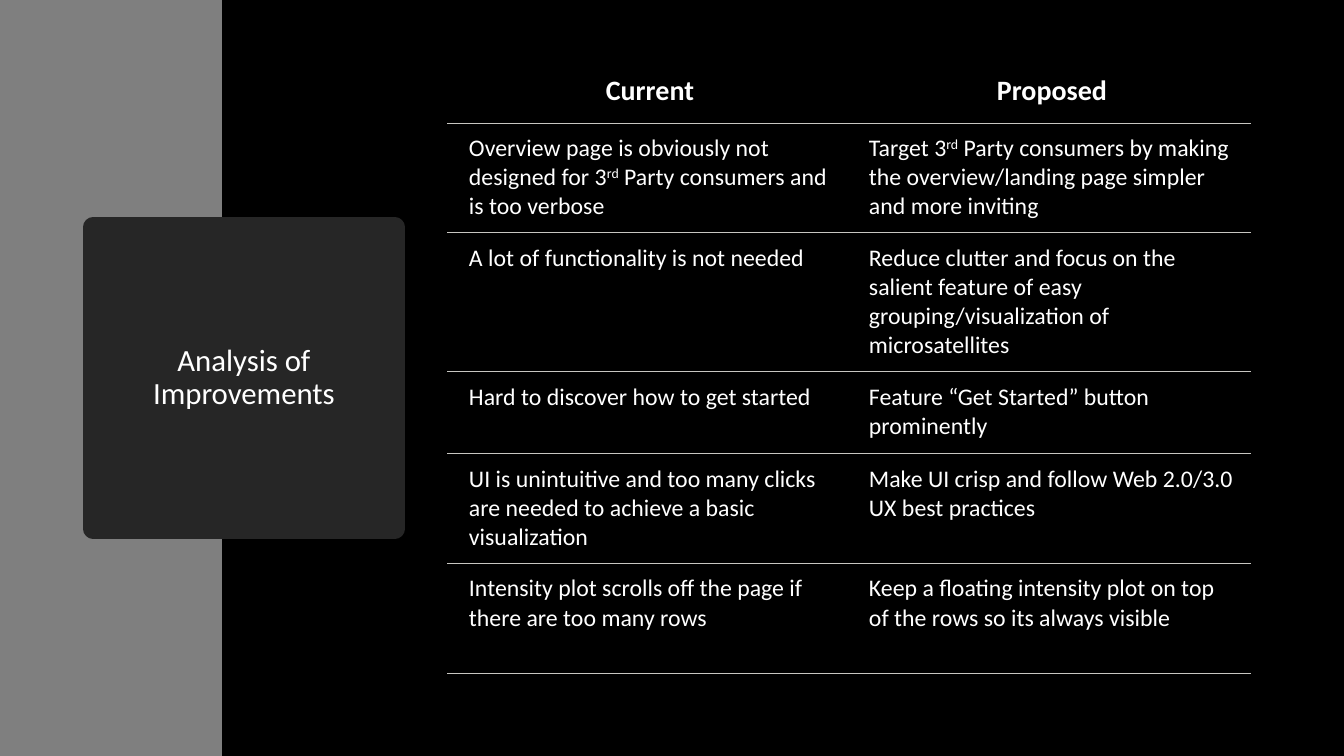
from lxml import etree
from pptx import Presentation
from pptx.dml.color import RGBColor
from pptx.enum.shapes import MSO_SHAPE
from pptx.enum.text import MSO_ANCHOR, PP_ALIGN
from pptx.oxml.ns import qn
from pptx.util import Emu, Pt

RECT = MSO_SHAPE.RECTANGLE
MIDDLE = MSO_ANCHOR.MIDDLE
CENTER, LEFT = PP_ALIGN.CENTER, PP_ALIGN.LEFT
SCALE = 914400 / 100.8
WHITE, RULE, CARD = "FFFFFF", "C7C6C1", "262626"
COLS = [400, 404]
ROWS = [60, 110, 138, 82, 110, 110]
TEXTS = [
    ("Current", "Proposed"),
    ("Overview page is obviously not designed for 3^rd^ Party consumers and is too verbose",
     "Target 3^rd^ Party consumers by making the overview/landing page simpler and more inviting"),
    ("A lot of functionality is not needed",
     "Reduce clutter and focus on the salient feature of easy "
     "grouping/visualization of microsatellites"),
    ("Hard to discover how to get started",
     "Feature “Get Started” button prominently"),
    ("UI is unintuitive and too many clicks are needed to achieve a basic visualization",
     "Make UI crisp and follow Web 2.0/3.0 UX best practices"),
    ("Intensity plot scrolls off the page if there are too many rows",
     "Keep a floating intensity plot on top of the rows so its always visible"),
]


def px(n):
    """Turn pixels into EMU."""
    return Emu(round(n * SCALE))


def paint(fill, color):
    """Fill with a solid hex colour."""
    fill.solid()
    fill.fore_color.rgb = RGBColor.from_string(color)


def write(para, text, size, align, bold=False):
    """Write text in a paragraph, raising the parts between carets."""
    for i, part in enumerate(text.split("^")):
        run = para.add_run()
        run.text = part
        if i % 2:
            run._r.get_or_add_rPr().set("baseline", "30000")
    para.alignment = align
    font = para.font
    font.name, font.size, font.bold = "Calibri", Pt(size), bold
    font.color.rgb = RGBColor.from_string(WHITE)


def block(slide, box, color):
    """Add a plain rectangle."""
    shape = slide.shapes.add_shape(RECT, *map(px, box))
    shape.shadow.inherit = False
    paint(shape.fill, color)
    shape.line.fill.background()
    return shape


def title(slide, box, text):
    """Add the title card with soft corners."""
    card = block(slide, box, CARD)
    paint(card.line.fill, CARD)
    card.line.width = Pt(13.75)
    etree.SubElement(card.line._get_or_add_ln(), qn("a:round"))
    frame = card.text_frame
    frame.word_wrap = True
    frame.vertical_anchor = MIDDLE
    para = frame.paragraphs[0]
    para.line_spacing = 0.9
    write(para, text, 22, CENTER)


def border(cell, side, color=None):
    """Draw one cell edge, or clear it when no colour is given."""
    line = etree.SubElement(cell._tc.get_or_add_tcPr(), qn("a:ln" + side))
    line.set("w", str(Pt(0.75)))
    if color:
        fill = etree.SubElement(line, qn("a:solidFill"))
        etree.SubElement(fill, qn("a:srgbClr")).set("val", color)
    else:
        etree.SubElement(line, qn("a:noFill"))


def compare(slide, left, top):
    """Add the table of current and proposed states."""
    box = left, top, sum(COLS), sum(ROWS)
    table = slide.shapes.add_table(len(ROWS), len(COLS), *map(px, box)).table
    table.first_row = table.horz_banding = False
    for col, width in zip(table.columns, COLS):
        col.width = px(width)
    for i, (row, height) in enumerate(zip(table.rows, ROWS)):
        row.height = px(height)
        head = i == 0
        for cell, text in zip(row.cells, TEXTS[i]):
            cell.margin_left, cell.margin_right = px(22), px(16)
            cell.margin_top = cell.margin_bottom = px(11)
            border(cell, "L")
            border(cell, "R")
            border(cell, "T", None if head else RULE)
            border(cell, "B", RULE)
            cell.fill.background()
            write(cell.text_frame.paragraphs[0], text, 20 if head else 17,
                  CENTER if head else LEFT, head)


def main():
    """Build the slide and save it."""
    deck = Presentation()
    deck.slide_width, deck.slide_height = px(1344), px(756)
    slide = deck.slides.add_slide(deck.slide_layouts[6])
    paint(slide.background.fill, "000000")
    block(slide, (0, 0, 222, 756), "7F7F7F")
    title(slide, (93, 227, 302, 302), "Analysis of Improvements")
    compare(slide, 447, 63)
    deck.save("out.pptx")


main()
